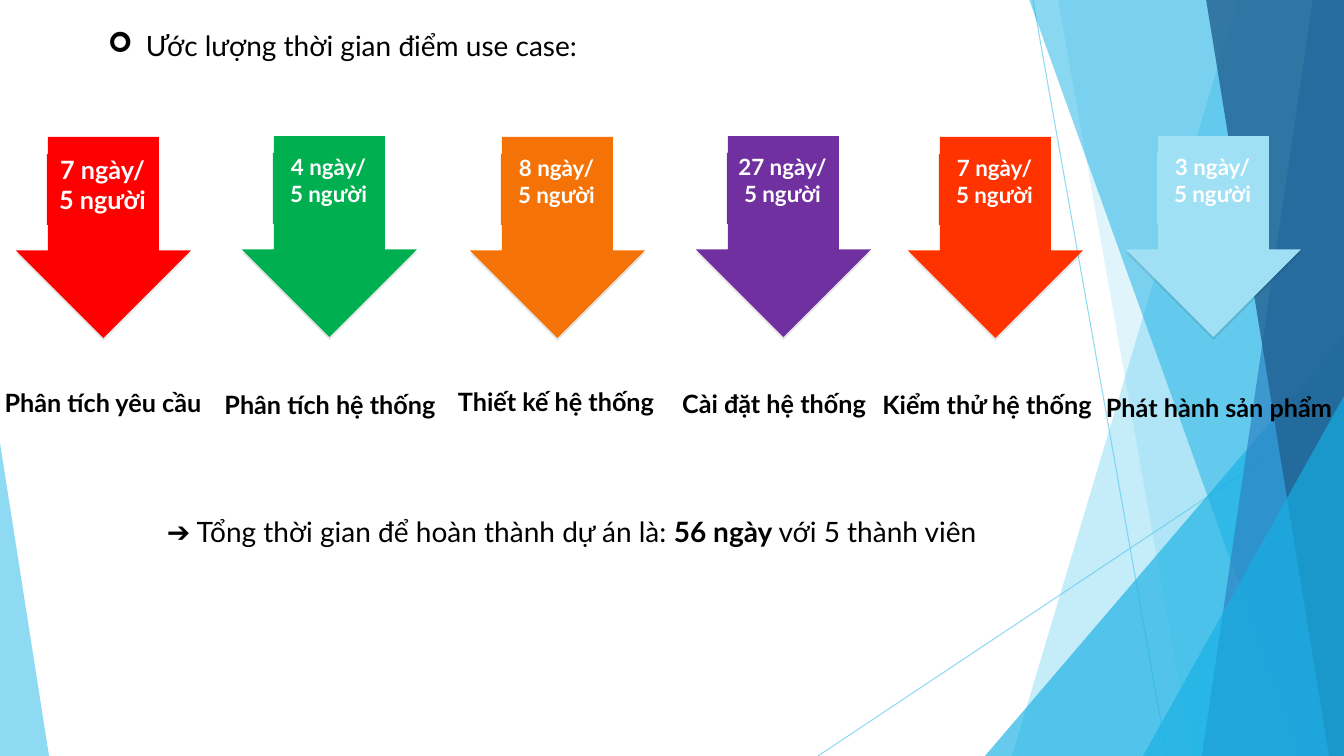
"""Build the slide that estimates project time by use case points."""
from lxml import etree
from pptx import Presentation
from pptx.dml.color import RGBColor
from pptx.enum.shapes import MSO_CONNECTOR, MSO_SHAPE
from pptx.enum.text import MSO_ANCHOR, PP_ALIGN
from pptx.oxml.ns import qn
from pptx.util import Pt

PX = 914400 / 100.8
W, H = 1344, 756
COLORS = {
    "sky": "5FCBEF", "cyan": "17B0E4", "blue": "2E83C3", "navy": "226292",
    "red": "FF0000", "green": "00B050", "orange": "F57306",
    "purple": "7030A0", "scarlet": "FF3300", "ice": "9FE0F5",
    "black": "000000", "white": "FFFFFF",
}


def paint(fmt, color, alpha=100):
    """Give a fill a solid colour with an opacity in percent."""
    fmt.solid()
    fmt.fore_color.rgb = RGBColor.from_string(COLORS[color])
    if alpha < 100:
        clr = fmt._xPr.find(".//" + qn("a:srgbClr"))
        etree.SubElement(clr, qn("a:alpha"), val=str(alpha * 1000))


def write(tf, lines, size, color="black", bold=False, margin=None):
    """Fill a text frame with lines of one style; a margin of 0 also centres."""
    tf.text = lines
    if margin is not None:
        tf.margin_left = tf.margin_right = margin
        tf.margin_top = tf.margin_bottom = margin
    for p in tf.paragraphs:
        p.alignment = PP_ALIGN.LEFT if margin is None else PP_ALIGN.CENTER
        for r in p.runs:
            r.font.name = "Lato"
            r.font.size = Pt(size)
            r.font.bold = bold
            r.font.color.rgb = RGBColor.from_string(COLORS[color])


prs = Presentation()
prs.slide_width, prs.slide_height = round(W * PX), round(H * PX)
s = prs.slides.add_slide(prs.slide_layouts[6])

for ends in [(1033, 0, 1167, H), (W, 406, 818, H)]:
    line = s.shapes.add_connector(
        MSO_CONNECTOR.STRAIGHT, *[round(v * PX) for v in ends])
    line.line.width = Pt(0.75)
    paint(line.line.fill, "sky", 70)
    etree.SubElement(line._element.spPr, qn("a:effectLst"))

# Top-left x, bottom-left x, colour, opacity; or a corner triangle's box
facets = [
    ("band", (1238, 1012), "sky", 36),
    ("band", (1058, 1192), "sky", 20),
    ("corner", (985, 336, 359, 420, 1), "cyan", 66),
    ("band", (1029, 1301), "cyan", 50),
    ("band", (1313, 1202), "blue", 70),
    ("band", (1206, 1329), "navy", 80),
    ("corner", (1143, 396, 201, 360, 1), "cyan", 66),
    ("corner", (0, 443, 49, 313, 0), "sky", 70),
]
for kind, place, color, alpha in facets:
    if kind == "band":
        top, bottom = place
        fb = s.shapes.build_freeform(top, -1, scale=PX)
        fb.add_line_segments([(W, -1), (W, H), (bottom, H)], close=True)
        sp = fb.convert_to_shape()
    else:
        sp = s.shapes.add_shape(
            MSO_SHAPE.ISOSCELES_TRIANGLE, *[round(v * PX) for v in place[:4]])
        sp.adjustments[0] = place[4]
    paint(sp.fill, color, alpha)
    sp.line.fill.background()
    sp.shadow.inherit = False

title = s.shapes.add_textbox(*[round(v * PX) for v in (98, 24, 997, 44)])
tf = title.text_frame
tf.word_wrap = True
write(tf, "Ước lượng thời gian điểm use case:", 20)
pPr = tf.paragraphs[0]._p.get_or_add_pPr()
pPr.set("marL", str(round(38 * PX)))
pPr.set("indent", str(round(-38 * PX)))
etree.SubElement(pPr, qn("a:buFont"), typeface="Wingdings")
etree.SubElement(pPr, qn("a:buChar"), char="➢")

stages = [
    ("Phân tích yêu cầu", 7, "red", 18, 16, 137, -28, 368),
    ("Phân tích hệ thống", 4, "green", 16, 242, 136, 199, 370),
    ("Thiết kế hệ thống", 8, "orange", 16, 470, 137, 425, 367),
    ("Cài đặt hệ thống", 27, "purple", 16, 696, 136, 643, 369),
    ("Kiểm thử hệ thống", 7, "scarlet", 16, 908, 137, 856, 370),
    ("Phát hành sản phẩm", 3, "ice", 16, 1126, 136, 1088, 373),
]
for name, days, color, size, x, y, label_x, label_y in stages:
    arrow = s.shapes.add_shape(
        MSO_SHAPE.DOWN_ARROW, *[round(v * PX) for v in (x, y, 175, 201)])
    arrow.adjustments[0], arrow.adjustments[1] = 0.634, 0.5
    badge = s.shapes.add_shape(
        MSO_SHAPE.RECTANGLE,
        *[round(v * PX) for v in (x + 31, y + 17, 111, 71)])
    for sp in (arrow, badge):
        paint(sp.fill, color)
        sp.line.fill.background()
        sp.shadow.inherit = False
    effects = arrow._element.spPr.find(qn("a:effectLst"))
    shadow = etree.SubElement(
        effects, qn("a:outerShdw"), dist=str(Pt(2)), dir="5400000")
    clr = etree.SubElement(shadow, qn("a:srgbClr"), val=COLORS["black"])
    etree.SubElement(clr, qn("a:alpha"), val="10000")

    tf = badge.text_frame
    tf.word_wrap = False
    tf.vertical_anchor = MSO_ANCHOR.TOP
    write(tf, f"{days} ngày/\n5 người", size, "white", True, 0)

    label = s.shapes.add_textbox(
        *[round(v * PX) for v in (label_x, label_y, 262, 62)])
    tf = label.text_frame
    tf.word_wrap = True
    tf.vertical_anchor = MSO_ANCHOR.MIDDLE
    write(tf, name, 18, bold=True, margin=0)
    tf.paragraphs[0].line_spacing = 1.2

total = s.shapes.add_textbox(*[round(v * PX) for v in (107, 503, 1003, 48)])
tf = total.text_frame
tf.word_wrap = True
p = tf.paragraphs[0]
p.line_spacing = 1.2
p._p.get_or_add_pPr().set("marL", str(round(50 * PX)))
for text, bold in [("➔ Tổng thời gian để hoàn thành dự án là: ", False),
                   ("56 ngày ", True), ("với 5 thành viên", False)]:
    r = p.add_run()
    r.text = text
    r.font.name = "Lato"
    r.font.size = Pt(20)
    r.font.bold = bold
    r.font.color.rgb = RGBColor.from_string(COLORS["black"])

prs.save("out.pptx")
